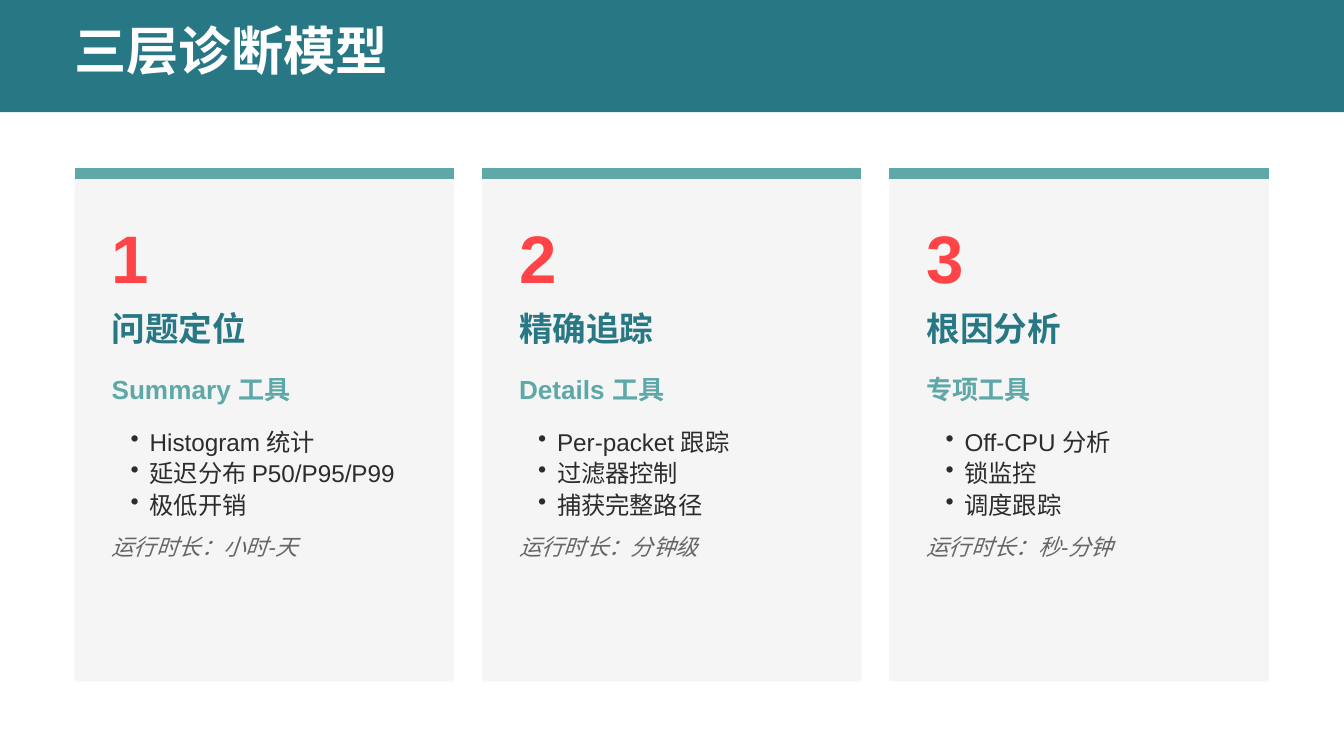
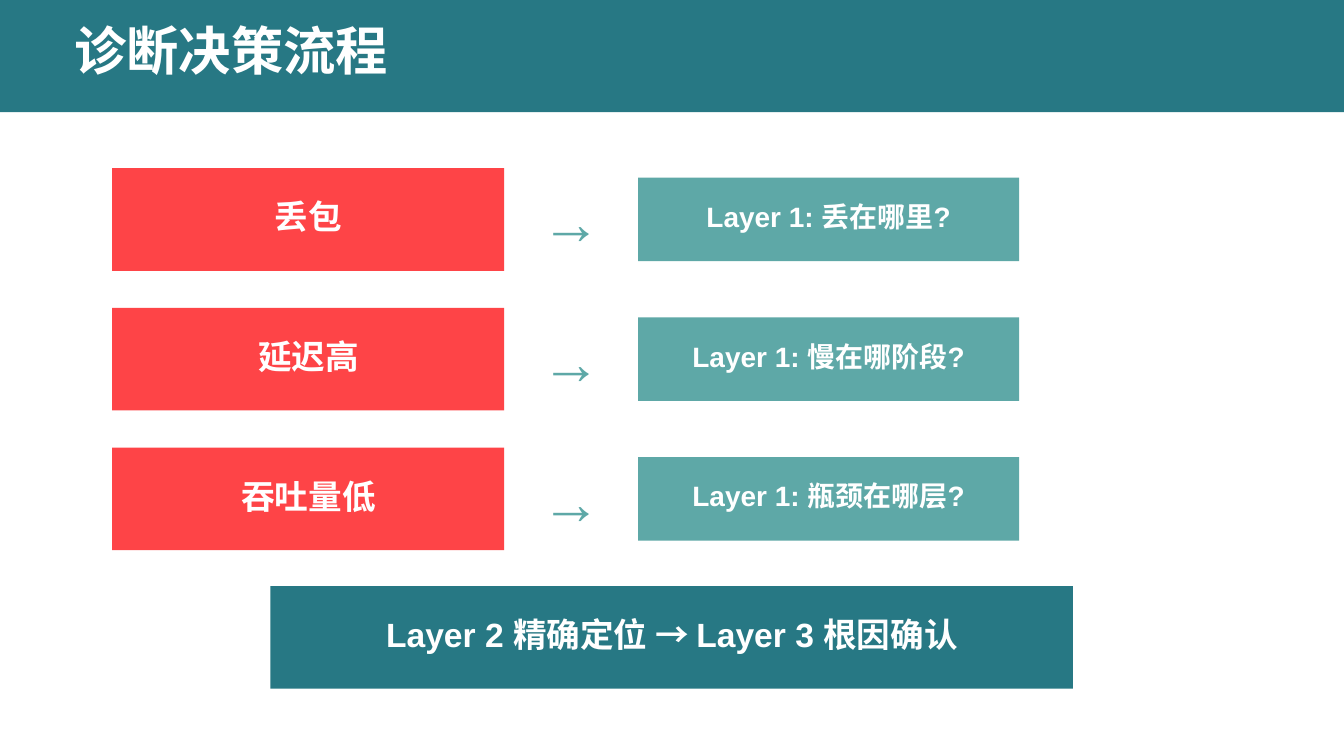
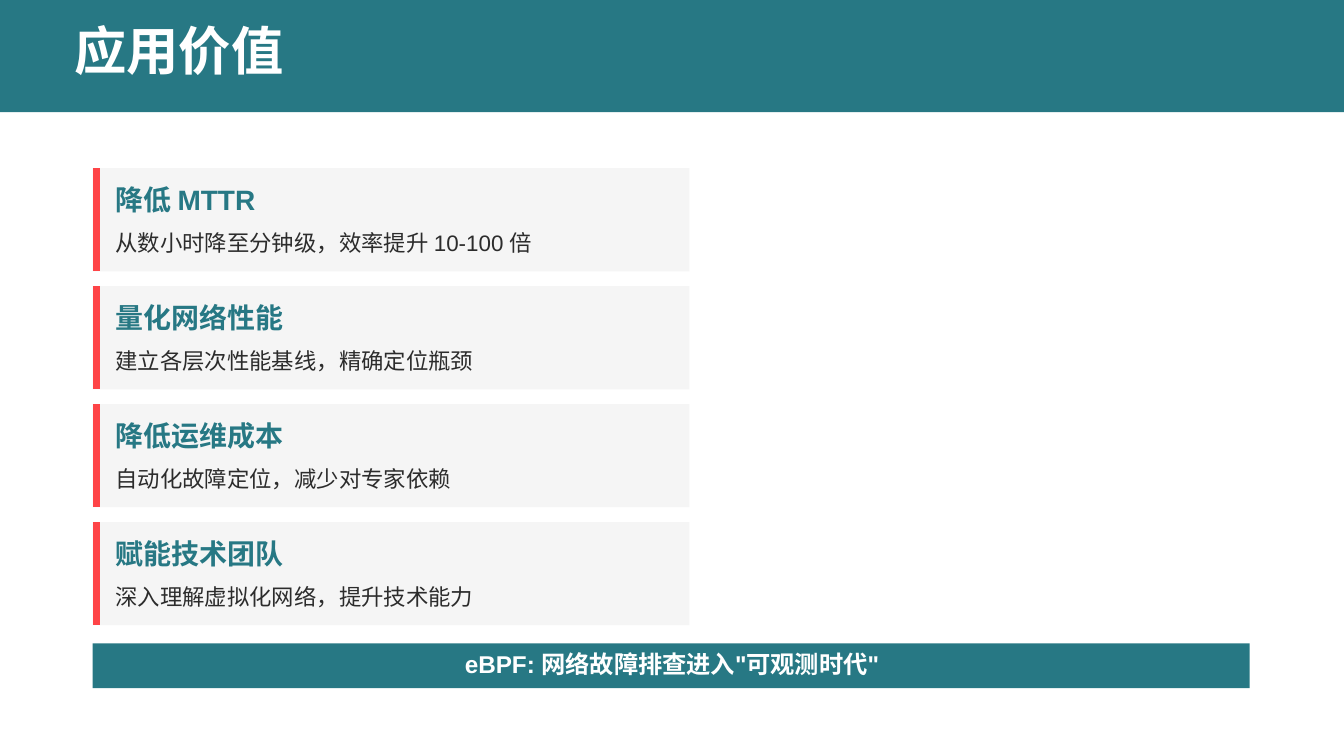
from dataclasses import dataclass
from typing import NamedTuple

from lxml.etree import SubElement
from pptx import Presentation
from pptx.dml.color import RGBColor as Rgb
from pptx.enum.shapes import MSO_CONNECTOR as Link, MSO_SHAPE as Form
from pptx.enum.text import MSO_ANCHOR as Anchor, PP_ALIGN as Align
from pptx.oxml.ns import qn
from pptx.slide import Slide
from pptx.text.text import TextFrame
from pptx.util import Cm, Pt


@dataclass(frozen=True)
class Style:
    size: float
    color: str
    bold: bool = False
    italic: bool = False
    align: Align = Align.LEFT
    before: float = 0
    after: float = 0
    line: float = 0
    bullet: bool = False


@dataclass(frozen=True)
class Theme:
    font: str = "Arial"
    deep: str = "277884"
    soft: str = "5EA8A7"
    alert: str = "FE4447"
    pale: str = "F5F5F5"
    white: str = "FFFFFF"
    ink: str = "2C2C2C"
    gray: str = "666666"

    title = Style(28, white, bold=True)
    number = Style(36, alert, bold=True, after=8)
    name = Style(18, deep, bold=True, after=10)
    tool = Style(14, soft, bold=True, after=8)
    point = Style(13, ink, line=16.9, bullet=True)
    note = Style(12, gray, italic=True, before=8)
    label = Style(18, white, bold=True, align=Align.CENTER)
    query = Style(15, white, bold=True, align=Align.CENTER)
    arrow = Style(32, soft)
    gain = Style(15, deep, bold=True, after=5)
    detail = Style(12, ink, line=13.2)
    close = Style(13, white, bold=True, align=Align.CENTER)


class Box(NamedTuple):
    """Left, top, width and height in centimetres."""
    x: float
    y: float
    w: float
    h: float


class Layer(NamedTuple):
    name: str
    tool: str
    points: tuple[str, ...]
    time: str


class Case(NamedTuple):
    sign: str
    query: str


class Gain(NamedTuple):
    name: str
    detail: str


THEME = Theme()
WIDE, HIGH = 25.4, 14.29
TOP = 3.18
DENT = 0.36

LAYERS = (
    Layer("问题定位", "Summary 工具",
          ("Histogram 统计", "延迟分布 P50/P95/P99", "极低开销"), "小时-天"),
    Layer("精确追踪", "Details 工具",
          ("Per-packet 跟踪", "过滤器控制", "捕获完整路径"), "分钟级"),
    Layer("根因分析", "专项工具",
          ("Off-CPU 分析", "锁监控", "调度跟踪"), "秒-分钟"),
)
CASES = (
    Case("丢包", "丢在哪里?"),
    Case("延迟高", "慢在哪阶段?"),
    Case("吞吐量低", "瓶颈在哪层?"),
)
GAINS = (
    Gain("降低 MTTR", "从数小时降至分钟级，效率提升 10-100 倍"),
    Gain("量化网络性能", "建立各层次性能基线，精确定位瓶颈"),
    Gain("降低运维成本", "自动化故障定位，减少对专家依赖"),
    Gain("赋能技术团队", "深入理解虚拟化网络，提升技术能力"),
)


def place(box: Box) -> tuple[Cm, ...]:
    return tuple(Cm(side) for side in box)


def write(frame: TextFrame, text: str, style: Style) -> None:
    """Fill a frame, one paragraph to a line, and format it."""
    frame.text = text
    frame.vertical_anchor = Anchor.TOP
    frame.margin_left = Cm(DENT if style.bullet else 0)
    frame.margin_top = frame.margin_right = frame.margin_bottom = 0
    for para in frame.paragraphs:
        para.alignment = style.align
        para.space_before = Pt(style.before)
        para.space_after = Pt(style.after)
        if style.line:
            para.line_spacing = Pt(style.line)
        if style.bullet:
            props = para._p.get_or_add_pPr()
            props.set("marL", str(Cm(DENT)))
            props.set("indent", str(-Cm(DENT)))
            SubElement(props, qn("a:buChar")).set("char", "•")
        for run in para.runs:
            font = run.font
            font.name = THEME.font
            font.size = Pt(style.size)
            font.bold, font.italic = style.bold, style.italic
            font.color.rgb = Rgb.from_string(style.color)


def add_text(slide: Slide, box: Box, text: str, style: Style) -> None:
    frame = slide.shapes.add_textbox(*place(box)).text_frame
    frame.word_wrap = True
    write(frame, text, style)


def add_block(slide: Slide, box: Box, color: str):
    block = slide.shapes.add_shape(Form.RECTANGLE, *place(box))
    block.shadow.inherit = False
    block.fill.solid()
    block.fill.fore_color.rgb = Rgb.from_string(color)
    block.line.fill.background()
    return block


def add_rule(slide: Slide, start: tuple[float, float],
             end: tuple[float, float], color: str, width: float) -> None:
    ends = (Cm(side) for side in start + end)
    rule = slide.shapes.add_connector(Link.STRAIGHT, *ends)
    rule.line.color.rgb = Rgb.from_string(color)
    rule.line.width = Pt(width)
    SubElement(rule.element.spPr, qn("a:effectLst"))


def add_slide(deck, text: str) -> Slide:
    """Start a slide with the title on its band."""
    slide = deck.slides.add_slide(deck.slide_layouts[5])
    title = slide.shapes.title
    band = add_block(slide, Box(0, 0, WIDE, 2.12), THEME.deep)
    title.element.addprevious(band.element)
    spot = place(Box(1.41, 0.35, 1.01 * len(text), 1.4))
    title.left, title.top, title.width, title.height = spot
    title.text_frame.word_wrap = False
    write(title.text_frame, text, THEME.title)
    return slide


def draw_layer(slide: Slide, index: int, layer: Layer) -> None:
    x, w = 1.41 + 7.7 * index, 7.17
    add_block(slide, Box(x, TOP, w, 9.7), THEME.pale)
    add_rule(slide, (x, TOP + 0.1), (x + w, TOP + 0.1), THEME.soft, 6)
    rows = (
        (4.09, 1.45, str(index + 1), THEME.number),
        (5.82, 0.86, layer.name, THEME.name),
        (7.06, 0.69, layer.tool, THEME.tool),
        (8.03, 1.78, "\n".join(layer.points), THEME.point),
        (10.08, 0.58, f"运行时长：{layer.time}", THEME.note),
    )
    for y, h, text, style in rows:
        add_text(slide, Box(x + 0.7, y, 5.87, h), text, style)


def draw_case(slide: Slide, index: int, case: Case) -> None:
    y = TOP + 2.64 * index
    add_block(slide, Box(2.12, y, 7.41, 1.94), THEME.alert)
    add_text(slide, Box(2.59, y + 0.53, 6.48, 0.86), case.sign, THEME.label)
    add_text(slide, Box(10.24, y + 0.32, 1.14, 1.3), "→", THEME.arrow)
    add_block(slide, Box(12.06, y + 0.18, 7.2, 1.58), THEME.soft)
    add_text(slide, Box(12.42, y + 0.59, 6.48, 0.74),
             f"Layer 1: {case.query}", THEME.query)


def draw_gain(slide: Slide, index: int, gain: Gain) -> None:
    y, h = TOP + 2.23 * index, 1.95
    add_block(slide, Box(1.75, y, 11.28, h), THEME.pale)
    add_rule(slide, (1.83, y), (1.83, y + h), THEME.alert, 3.75)
    add_text(slide, Box(2.18, y + 0.28, 10.8, 0.74), gain.name, THEME.gain)
    add_text(slide, Box(2.18, y + 1.2, 10.8, 0.46), gain.detail, THEME.detail)


def main() -> None:
    deck = Presentation()
    deck.slide_width, deck.slide_height = Cm(WIDE), Cm(HIGH)

    model = add_slide(deck, "三层诊断模型")
    for index, layer in enumerate(LAYERS):
        draw_layer(model, index, layer)

    flow = add_slide(deck, "诊断决策流程")
    for index, case in enumerate(CASES):
        draw_case(flow, index, case)
    add_block(flow, Box(5.11, 11.08, 15.17, 1.94), THEME.deep)
    add_text(flow, Box(5.5, 11.6, 14.4, 0.86),
             "Layer 2 精确定位 → Layer 3 根因确认", THEME.label)

    value = add_slide(deck, "应用价值")
    for index, gain in enumerate(GAINS):
        draw_gain(value, index, gain)
    add_block(value, Box(1.75, 12.16, 21.87, 0.85), THEME.deep)
    add_text(value, Box(1.65, 12.27, 22.1, 0.64),
             'eBPF: 网络故障排查进入"可观测时代"', THEME.close)

    deck.save("out.pptx")


if __name__ == "__main__":
    main()
